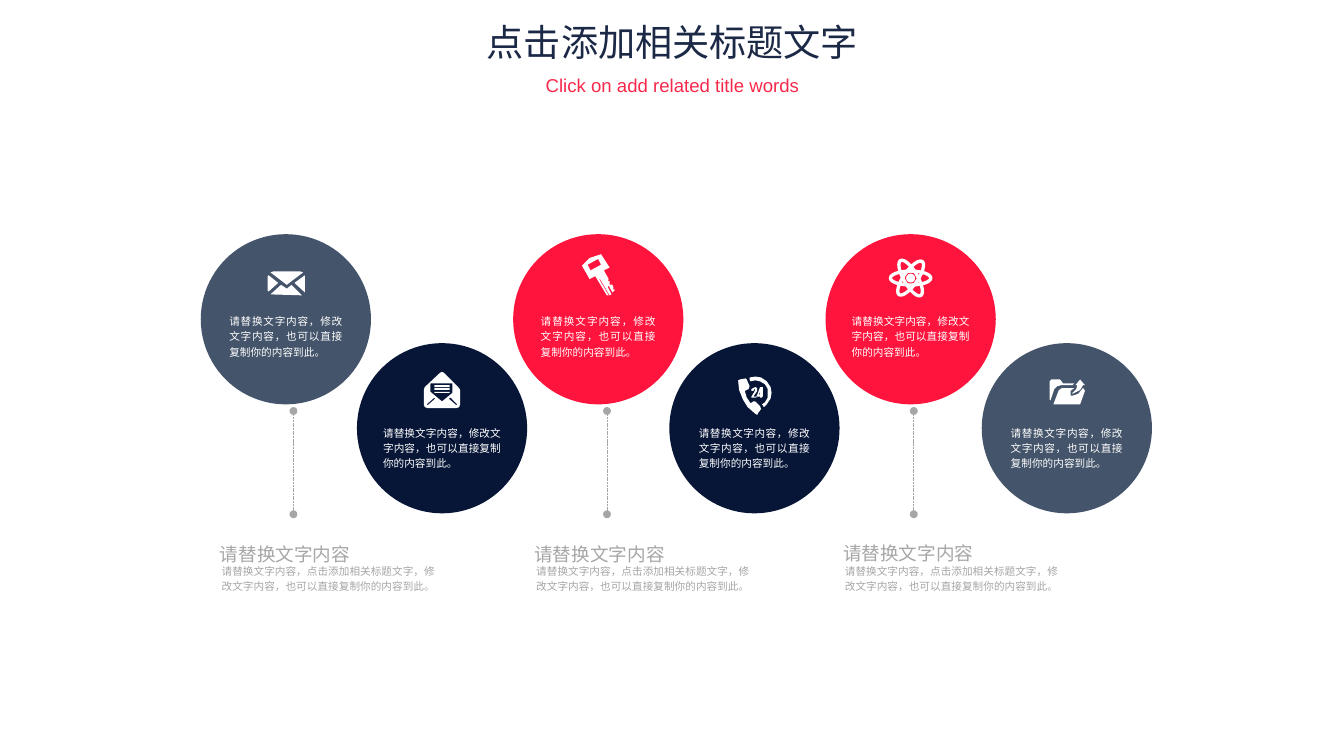
from dataclasses import dataclass
from lxml import etree
from pptx import Presentation
from pptx.dml.color import RGBColor
from pptx.enum import dml, shapes, text
from pptx.oxml import ns
from pptx.util import Pt


@dataclass(frozen=True)
class Theme:
    """Colours, fonts and type sizes of the slide."""
    slate: str = "44546A"
    navy: str = "071637"
    red: str = "FE143C"
    white: str = "FFFFFF"
    grey: str = "A6A6A6"
    title: str = "1B2946"
    accent: str = "F8284B"
    latin: str = "Arial"
    han: str = "Noto Sans CJK SC"
    large: int = 28
    medium: int = 14
    small: int = 8


T = Theme()
TITLE = "点击添加相关标题文字"
SUB = "Click on add related title words"
NOTE = "请替换文字内容，修改文字内容，也可以直接复制你的内容到此。"
HEAD = "请替换文字内容"
BODY = "请替换文字内容，点击添加相关标题文字，修改文字内容，也可以直接复制你的内容到此。"

MAIL = [
    [(6, 0), (34, 0), (37, 1), (20, 14), (3, 1)],
    [(39, 4), (28, 12), (39, 22)],
    [(36, 25), (3, 24), (14, 14), (20, 18), (25, 14)],
    [(1, 21), (11, 12), (1, 4), (0, 5), (0, 20)],
]
LETTER = [
    [(36, 16), (38, 19), (38, 34), (37, 37), (34, 38), (4, 38), (1, 37),
     (0, 34), (0, 19), (1, 16), (17, 1), (19, 0), (21, 1)],
    [(7, 12), (7, 21), (19, 31), (30, 22), (30, 12)],
    *[[(11, y), (27, y), (27, y + 1.6), (11, y + 1.6)] for y in (14, 17.3, 20.6)],
    [(4, 35), (12, 28), (11, 27), (3, 34)],
    [(35, 34), (28, 27), (26, 28), (34, 35)],
]
KEY = [
    [(0, 12), (8, 4), (20, 0), (29, 14), (23, 17), (28, 26), (27, 28),
     (29, 28), (29, 32), (32, 32), (33, 35), (33, 37), (35, 37), (32, 40),
     (28, 33), (27, 34), (31, 42), (29, 43), (19, 26), (18, 26), (28, 43),
     (26, 43), (14, 23), (8, 26)],
    [(6, 11), (9, 17), (20, 11), (17, 5)],
]
PHONE = [
    [(21, 38), (24, 34), (23, 31), (18, 26), (16, 26), (13, 28), (9, 22),
     (7, 15), (11, 13), (12, 10), (9, 3), (8, 2), (2, 3), (0, 4), (1, 14),
     (5, 24), (10, 32), (18, 39), (20, 40)],
    [(18, 0), (24, 1), (30, 5), (34, 11), (35, 17), (34, 23), (30, 29),
     (27, 32), (25, 29), (28, 27), (31, 22), (31, 13), (28, 8), (23, 5),
     (18, 4), (13, 5), (12, 3), (12, 1)],
    [(19, 22), (14, 22), (14, 21), (17, 16), (18, 13), (17, 13), (16, 15),
     (14, 15), (14, 13), (18, 11), (20, 12), (20, 15), (16, 21), (19, 21)],
    [(26, 21), (25, 21), (25, 22), (23, 22), (23, 21), (19, 21), (20, 19),
     (23, 11), (26, 11), (26, 19)],
    [(23, 19), (22, 19), (23, 15)],
]
FOLDER = [
    [(26, 4), (14, 4), (11, 0), (2, 0), (0, 2), (0, 21), (1, 22), (5, 10),
     (8, 7), (12, 6), (24, 6)],
    [(29, 6), (27, 6), (32, 0), (37, 6), (35, 6), (32, 11), (24, 15),
     (24, 14), (28, 10)],
    [(32, 26), (4, 26), (9, 13), (10, 11), (13, 9), (26, 9), (23, 11),
     (22, 12), (22, 17), (24, 17), (30, 15), (35, 9), (36, 10), (37, 12)],
]
DISCS = [
    (T.slate, MAIL, (50.4, 28.1), 99.4),
    (T.navy, LETTER, (50.4, 21.6), 103),
    (T.red, KEY, (51.8, 15.1), 100.8),
    (T.navy, PHONE, (51.8, 25.2), 97.9),
    (T.red, None, (64.1, 33.1), 103),
    (T.slate, FOLDER, (51.1, 27.4), 98.6),
]
ROWS = [(176.4, 55.4), (258.5, 57.6)]
LEFT, STEP, SIZE = 151.2, 117.65, 128.2
UNIT = 0.72
CAPTIONS = [(165.6, 221, 406), (402.5, 457.2, 406), (635, 688.3, 404.6)]


def rgb(tone):
    """Return a colour object."""
    return RGBColor.from_string(tone)


def write(frame, words, size, tone, font=T.latin, align=None, gap=1.2, pad=None):
    """Fill a text frame with one formatted paragraph."""
    frame.text = words
    frame.word_wrap = True
    frame.auto_size = text.MSO_AUTO_SIZE.NONE
    frame.vertical_anchor = text.MSO_ANCHOR.TOP
    if pad is not None:
        frame.margin_left = frame.margin_right = Pt(pad)
        frame.margin_top = frame.margin_bottom = Pt(pad)
    para = frame.paragraphs[0]
    para.alignment, para.line_spacing, para.space_before = align, gap, Pt(0)
    run = para.runs[0]
    run.font.name, run.font.size = font, Pt(size)
    run.font.color.rgb = rgb(tone)
    etree.SubElement(run.font._element, ns.qn("a:ea"), typeface=font)


def place(shape, *box):
    """Move and size a shape."""
    shape.left, shape.top, shape.width, shape.height = map(Pt, box)


def paint(shape, tone):
    """Give a shape a plain fill."""
    shape.shadow.inherit = False
    shape.fill.solid()
    shape.fill.fore_color.rgb = rgb(tone)
    shape.line.fill.background()


def oval(tree, x, y, wide, high, tone):
    """Add a filled oval."""
    shape = tree.add_shape(shapes.MSO_SHAPE.OVAL, *map(Pt, (x, y, wide, high)))
    paint(shape, tone)
    return shape


def icon(tree, parts, x, y):
    """Draw an icon from closed outlines."""
    pen = tree.build_freeform(*parts[0][0], scale=Pt(UNIT))
    for i, part in enumerate(parts):
        if i:
            pen.move_to(*part[0])
        pen.add_line_segments(part[1:], close=True)
    paint(pen.convert_to_shape(Pt(x), Pt(y)), T.white)


def atom(tree, x, y):
    """Draw three orbits round a core centred on a point."""
    wide, high, core = 30.5, 10.5, 6.8
    for turn in (0, 60, 125):
        ring = oval(tree, x - wide / 2, y - high / 2, wide, high, T.white)
        ring.fill.background()
        ring.line.color.rgb, ring.line.width = rgb(T.white), Pt(2.5)
        ring.rotation = turn
    oval(tree, x - core / 2, y - core / 2, core, core, T.white)


def stem(tree, x):
    """Add a dashed line with round ends."""
    line = tree.add_connector(shapes.MSO_CONNECTOR.STRAIGHT,
                              *map(Pt, (x, 309.6, x, 387.4)))
    line.line.color.rgb, line.line.width = rgb(T.grey), Pt(0.5)
    line.line.dash_style = dml.MSO_LINE.SQUARE_DOT
    for end in ("a:headEnd", "a:tailEnd"):
        etree.SubElement(line.line._ln, ns.qn(end), type="oval")
    etree.SubElement(line._element.spPr, ns.qn("a:effectLst"))


def label(tree, box, *args, **extra):
    """Add a text box."""
    write(tree.add_textbox(*map(Pt, box)).text_frame, *args, **extra)


def main():
    """Build and save the slide."""
    deck = Presentation()
    deck.slide_width, deck.slide_height = Pt(1012.3), Pt(569.5)
    slide = deck.slides.add_slide(deck.slide_layouts[0])
    tree = slide.shapes
    mid, just = text.PP_ALIGN.CENTER, text.PP_ALIGN.JUSTIFY
    sub = slide.placeholders[1]
    place(tree.title, 353.5, 14.4, 306, 57.6)
    write(tree.title.text_frame, TITLE, T.large, T.title, T.han, mid, 0.9)
    place(sub, 398.9, 54, 215.3, 31)
    write(sub.text_frame, SUB, T.medium, T.accent, align=mid, gap=0.9)
    for i, (tone, parts, (dx, dy), wide) in enumerate(DISCS):
        x, (y, drop) = LEFT + i * STEP, ROWS[i % 2]
        oval(tree, x, y, SIZE, SIZE, tone)
        if parts:
            icon(tree, parts, x + dx, y + dy)
        else:
            atom(tree, x + dx, y + dy)
        label(tree, (x + (SIZE - wide) / 2, y + drop, wide, 42.5),
              NOTE, T.small, T.white, align=just)
    for x, mark, y in CAPTIONS:
        stem(tree, mark)
        label(tree, (x + 1.4, 423.4, 165.6, 23), BODY, T.small, T.grey, pad=0)
        label(tree, (x, y, 113, 20.2), HEAD, T.medium, T.grey, pad=0)
    deck.save("out.pptx")


if __name__ == "__main__":
    main()
